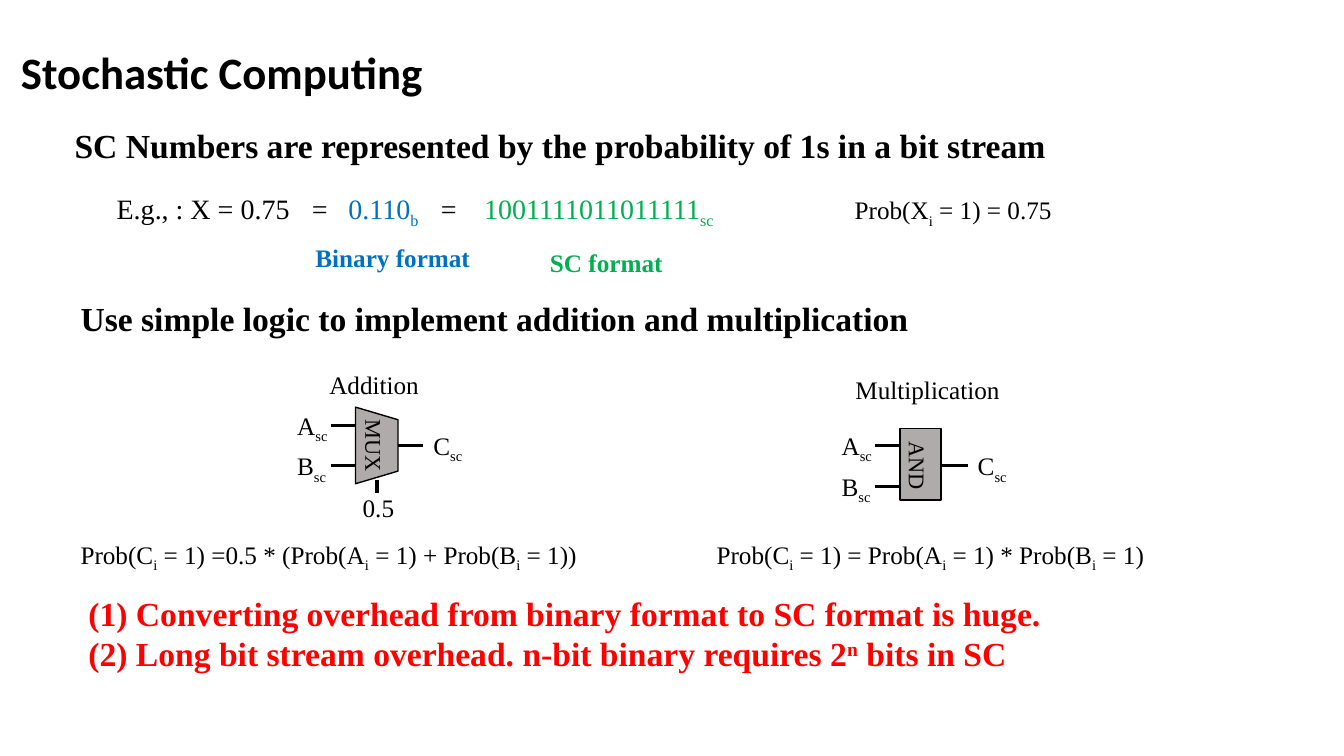
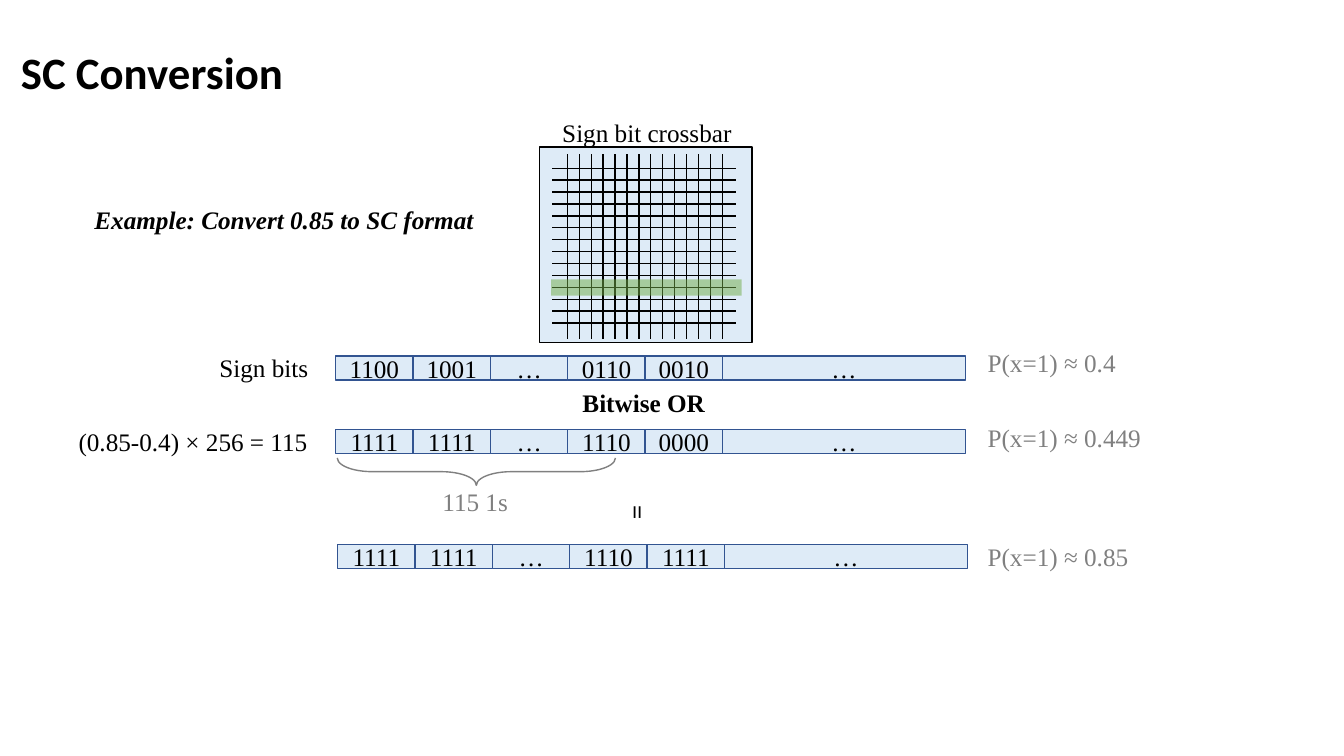
"""Build two slides on stochastic computing and SC conversion."""
from dataclasses import dataclass

from lxml import etree
from pptx import Presentation
from pptx import util as u
from pptx.dml.color import RGBColor
from pptx.enum import shapes, text
from pptx.oxml.ns import qn


@dataclass(frozen=True)
class Theme:
    body_font: str = "Times New Roman"
    title_font: str = "Calibri"
    black: str = "000000"
    red: str = "FF0000"
    blue: str = "0070C0"
    green: str = "00B050"
    grey: str = "808080"
    gate: str = "AFABAB"
    cell: str = "DEEBF7"
    cell_line: str = "325491"
    highlight: str = "70AD47"
    title: int = 32
    heading: int = 24
    example: int = 20
    body: int = 18
    gate_label: int = 16
    thin: float = 1
    wire: float = 2.25
    row: float = 1.02


T = Theme()
SHAPE = shapes.MSO_SHAPE


def add(s, x, y, w, h, content="", kind=None, fill=None, line=None, size=T.body,
        color=T.black, bold=False, italic=False, font=T.body_font, rot=0):
    """Add a text box or preset shape; '|' splits runs, a leading '_' or '^' shifts one."""
    box = [u.Cm(v) for v in (x, y, w, h)]
    sp = s.shapes.add_textbox(*box) if kind is None else s.shapes.add_shape(kind, *box)
    sp.rotation = rot
    tf = sp.text_frame
    if kind is None:
        tf.word_wrap = False
        tf.auto_size = text.MSO_AUTO_SIZE.SHAPE_TO_FIT_TEXT
    else:
        sp.shadow.inherit = False
        if fill:
            sp.fill.solid()
            sp.fill.fore_color.rgb = RGBColor.from_string(fill)
        else:
            sp.fill.background()
        if line:
            sp.line.color.rgb = RGBColor.from_string(line)
            sp.line.width = u.Pt(T.thin)
        else:
            sp.line.fill.background()
    for i, row in enumerate(content.split("\n")):
        p = tf.add_paragraph() if i else tf.paragraphs[0]
        if kind is not None:
            p.alignment = text.PP_ALIGN.CENTER
        for part in row.split("|") if row else []:
            r = p.add_run()
            r.text = part.lstrip("_^")
            f = r.font
            f.name, f.size, f.bold, f.italic = font, u.Pt(size), bold, italic
            f.color.rgb = RGBColor.from_string(color)
            if part[0] in "_^":
                f._element.set("baseline", "-25000" if part[0] == "_" else "30000")
    return sp


def wire(s, x1, y1, x2, y2, width=T.wire):
    """Add a black straight line without a shadow."""
    c = s.shapes.add_connector(shapes.MSO_CONNECTOR.STRAIGHT, *[u.Cm(v) for v in (x1, y1, x2, y2)])
    c.line.color.rgb = RGBColor.from_string(T.black)
    c.line.width = u.Pt(width)
    etree.SubElement(c._element.spPr, qn("a:effectLst"))


prs = Presentation()
prs.slide_width, prs.slide_height = u.Cm(33.87), u.Cm(19.05)
slides = []
for title in ("Stochastic Computing", "SC Conversion"):
    s = prs.slides.add_slide(prs.slide_layouts[6])
    sp = add(s, 0.28, 0.97, 32.99, 1.83, title, size=T.title, bold=True, font=T.title_font)
    tf = sp.text_frame
    tf.word_wrap, tf.auto_size = True, text.MSO_AUTO_SIZE.NONE
    tf.vertical_anchor = text.MSO_ANCHOR.MIDDLE
    tf.paragraphs[0].line_spacing = 0.9
    slides.append(s)
logic, conversion = slides

for x, y, w, h, content, color in (
    (1.63, 3.02, 25.22, 1.27, "SC Numbers are represented by the probability of 1s in a bit stream", T.black),
    (1.78, 7.37, 21.56, 1.27, "Use simple logic to implement addition and multiplication", T.black),
    (1.98, 14.81, 24.74, 2.31, "(1) Converting overhead from binary format to SC format is huge.\n"
     "(2) Long bit stream overhead. n-bit binary requires 2|^n| bits in SC", T.red),
):
    add(logic, x, y, w, h, content, size=T.heading, color=color, bold=True)

sp = add(logic, 2.69, 4.7, 15.72, 1.12,
         "E.g., : X = 0.75\t=\t|0.110|_b|\t=\t|1001111011011111|_sc", size=T.example)
p = sp.text_frame.paragraphs[0]
tabs = etree.SubElement(p._p.get_or_add_pPr(), qn("a:tabLst"))
for stop in (4.92, 5.84, 8.17, 9.26):
    etree.SubElement(tabs, qn("a:tab"), pos=str(u.Cm(stop)), algn="l")
for r, color in zip(p.runs, (T.black, T.blue, T.blue, T.black, T.green, T.green)):
    r.font.color.rgb = RGBColor.from_string(color)
add(logic, 7.7, 5.99, 4.45, T.row, "Binary format", color=T.blue, bold=True)
add(logic, 13.61, 6.12, 3.38, T.row, "SC format", color=T.green, bold=True)

for x, y, w, content in (
    (21.29, 4.78, 5.54, "Prob(X|_i| = 1) = 0.75"),
    (8.05, 9.19, 2.82, "Addition"),
    (21.31, 9.32, 4.22, "Multiplication"),
    (8.89, 12.29, 1.32, "0.5"),
    (1.78, 13.46, 13.34, "Prob(C|_i| = 1) =0.5 * (Prob(A|_i| = 1) + Prob(B|_i| = 1))"),
    (17.81, 13.46, 11.61, "Prob(C|_i| = 1) = Prob(A|_i| = 1) * Prob(B|_i| = 1)"),
):
    add(logic, x, y, w, T.row, content)

mux = add(logic, 8.53, 10.69, 1.93, 1.07, kind=SHAPE.TRAPEZOID, fill=T.gate, line=T.black, rot=90)
mux.adjustments[0] = 0.297
add(logic, 22.68, 10.8, 1.04, 1.8, kind=SHAPE.RECTANGLE, fill=T.gate, line=T.black)
add(logic, 8.51, 10.77, 1.83, 0.94, "MUX", size=T.gate_label, rot=90)
add(logic, 22.25, 11.28, 1.75, 0.94, "AND", size=T.gate_label, rot=90)
wire(logic, 9.5, 12.09, 9.5, 12.42)
for x, y in ((7.24, 10.21), (20.96, 10.72)):
    for dx, dy, name, wire_dx in ((0, 0, "A", 1.09), (0, 1.02, "B", 1.09), (3.43, 0.51, "C", 2.79)):
        add(logic, x + dx, y + dy, 1.3, T.row, name + "|_sc")
        wire(logic, x + wire_dx, y + dy + 0.51, x + wire_dx + 0.64, y + dy + 0.51)

add(conversion, 13.59, 3.71, 5.36, 4.93, kind=SHAPE.RECTANGLE, fill=T.cell, line=T.black)
for i in range(14):
    step = 0.3 * i
    wire(conversion, 13.92, 4.24 + step, 18.54, 4.24 + step, T.thin)
    wire(conversion, 14.3 + step, 3.89, 14.3 + step, 8.53, T.thin)
sp = add(conversion, 13.89, 7.04, 4.8, 0.41, kind=SHAPE.RECTANGLE, fill=T.highlight)
color = sp._element.spPr.find(qn("a:solidFill"))[0]
etree.SubElement(color, qn("a:alpha"), val="50000")

for x, y, bits, prob_y, prob_w, prob in (
    (8.46, 8.97, "1100 1001 … 0110 0010 …", 8.64, 3.78, "0.4"),
    (8.46, 10.82, "1111 1111 … 1110 0000 …", 10.52, 4.42, "0.449"),
    (8.51, 13.72, "1111 1111 … 1110 1111 …", 13.51, 4.09, "0.85"),
):
    for i, word in enumerate(bits.split()):
        add(conversion, x + 1.95 * i, y, 6.12 if i == 5 else 1.95, 0.61, word,
            kind=SHAPE.RECTANGLE, fill=T.cell, line=T.cell_line)
    add(conversion, 24.64, prob_y, prob_w, T.row, "P(x=1) ≈ " + prob, color=T.grey)

brace = add(conversion, 11.66, 8.38, 0.69, 7.01, kind=SHAPE.LEFT_BRACE, line=T.grey, rot=270)
brace.adjustments[0] = 1.28
add(conversion, 10.9, 12.14, 2.21, T.row, "115 1s", color=T.grey)
add(conversion, 13.92, 2.82, 4.78, T.row, "Sign bit crossbar")
add(conversion, 5.28, 8.76, 2.77, T.row, "Sign bits")
add(conversion, 1.73, 10.62, 6.35, T.row, "(0.85-0.4) × 256 = 115")
add(conversion, 14.43, 9.63, 3.63, T.row, "Bitwise OR", bold=True)
add(conversion, 15.67, 12.42, 0.86, T.row, "=", bold=True, rot=90)
add(conversion, 2.13, 5.03, 10.57, T.row, "Example: Convert 0.85 to SC format", bold=True, italic=True)

prs.save("out.pptx")
